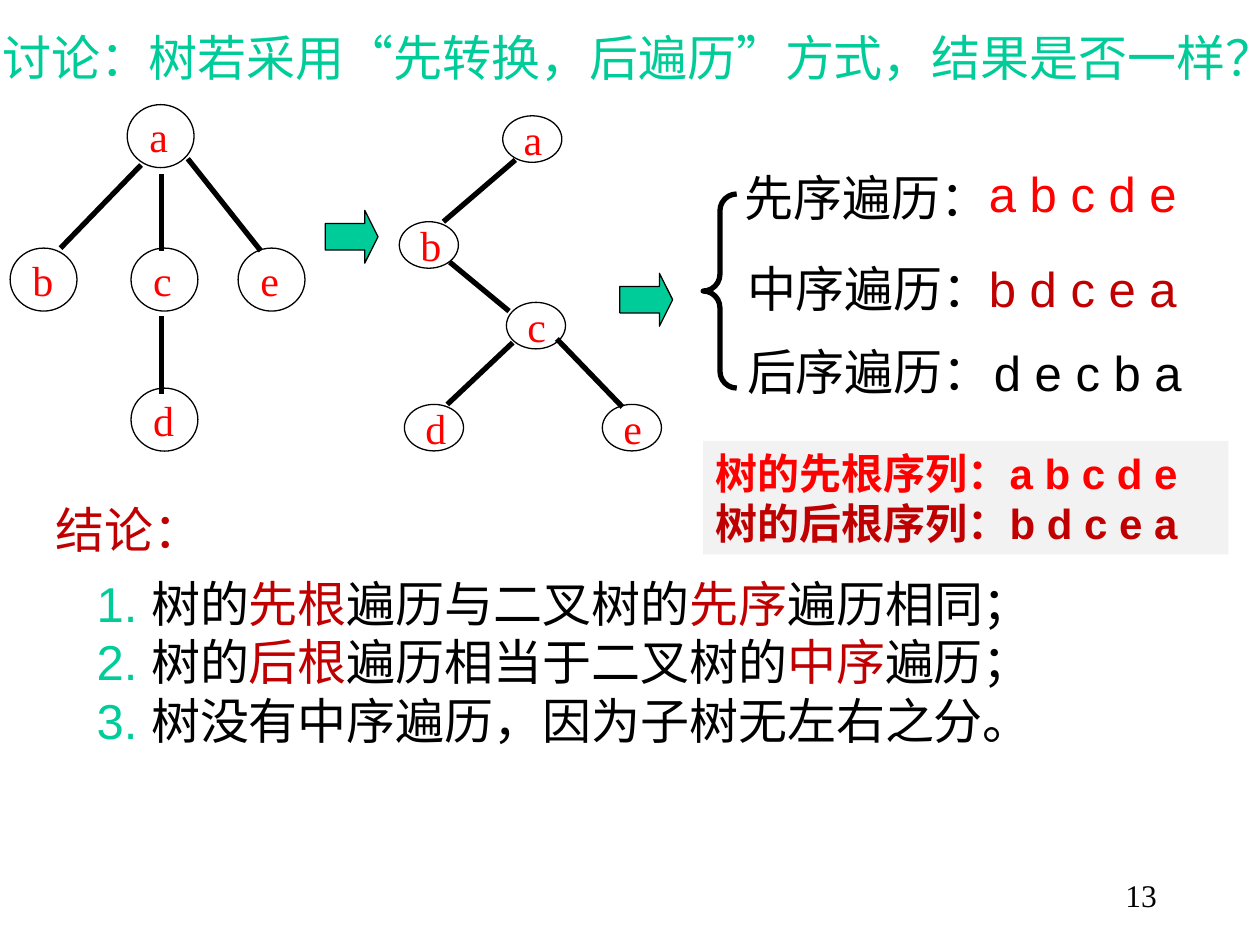
import pptx
import pptx.util
import pptx.dml.color
import pptx.enum.shapes
import pptx.enum.text
import pptx.oxml.ns
from lxml import etree

Pt = pptx.util.Pt
RGBColor = pptx.dml.color.RGBColor
SHAPE = pptx.enum.shapes.MSO_SHAPE
PP_ALIGN = pptx.enum.text.PP_ALIGN
ANCHOR = pptx.enum.text.MSO_ANCHOR
AUTO_SIZE = pptx.enum.text.MSO_AUTO_SIZE

GREEN = RGBColor(0x00, 0xCC, 0x99)
RED = RGBColor(0xFF, 0x00, 0x00)
DARK_RED = RGBColor(0xC0, 0x00, 0x00)
BLACK = RGBColor(0x00, 0x00, 0x00)
GREY = RGBColor(0xF2, 0xF2, 0xF2)
SANS, SERIF = "Arial", "Times New Roman"

# Each run is (text, overrides of the paragraph format).
TITLE = [("讨论：树若采用", {}), ("“", {"font": SERIF}), ("先转换，后遍历", {}),
         ("”", {"font": SERIF}), ("方式，结果是否一样？", {})]
CONCLUSIONS = [
    [("1. ", {"color": GREEN}), ("树的", {}), ("先根", {"color": DARK_RED}),
     ("遍历与二叉树的", {}), ("先序", {"color": DARK_RED}), ("遍历相同；", {})],
    [("2. ", {"color": GREEN}), ("树的", {}), ("后根", {"color": DARK_RED}),
     ("遍历相当于二叉树的", {}), ("中序", {"color": DARK_RED}), ("遍历；", {})],
    [("3. ", {"color": GREEN}), ("树没有中序遍历，因为子树无左右之分。", {})],
]
ROOT_ORDERS = [[("树的先根序列：a b c d e", {})],
               [("树的后根序列：b d c e a", {"color": DARK_RED})]]

# Label, its left and top, then sequence, its left and top, and its colour.
TRAVERSALS = [
    ("先序遍历：", 418.3, 92.2, "a b c d e", 558, 90, RED),
    ("中序遍历：", 419.8, 144, "b d c e a", 558, 144, DARK_RED),
    ("后序遍历：", 419.8, 191.5, "d e c b a", 560.9, 192.2, BLACK),
]
TREES = [
    {"node_size": (38.2, 36),
     "nodes": {"a": (72.7, 59.8), "b": (5.8, 141.8), "c": (74.9, 141.8),
               "d": (74.9, 221.8), "e": (136.1, 141.8)},
     "edges": [(80.6, 94.3, 34.6, 141.8), (92.2, 99.4, 92.2, 143.3),
               (107.3, 90.7, 149, 143.3), (92.2, 180.7, 92.2, 225.4)]},
    {"node_size": (33.8, 26.6),
     "nodes": {"a": (287.3, 66.2), "b": (228.2, 126.7), "c": (289.4, 172.8),
               "d": (231.1, 231.1), "e": (344.2, 231.1)},
     "edges": [(294.5, 91.4, 253.4, 126.7), (257, 149.8, 290.9, 177.8),
               (293, 195.8, 255.6, 231.1), (318.2, 193.7, 355.7, 232.6)]},
]
ARROWS = [(185.8, 120.2), (354.2, 156.2)]

prs = pptx.Presentation()
prs.slide_width, prs.slide_height = Pt(720), Pt(540)
s = prs.slides.add_slide(prs.slide_layouts[6])


def write(sp, paragraphs, size=28, font=SANS, color=BLACK, bold=False,
          align=PP_ALIGN.LEFT, anchor=ANCHOR.TOP, wrap=True, grow=True):
    """Fill a shape with a string or with paragraphs made of runs."""
    if isinstance(paragraphs, str):
        paragraphs = [[(paragraphs, {})]]
    tf = sp.text_frame
    tf.word_wrap = wrap
    tf.auto_size = AUTO_SIZE.SHAPE_TO_FIT_TEXT if grow else AUTO_SIZE.NONE
    tf.vertical_anchor = anchor
    for i, runs in enumerate(paragraphs):
        p = tf.add_paragraph() if i else tf.paragraphs[0]
        p.alignment = align
        for text, changes in runs:
            r = p.add_run()
            r.text = text
            r.font.size = Pt(size)
            r.font.bold = bold
            r.font.name = changes.get("font", font)
            r.font.color.rgb = changes.get("color", color)


def add_text(x, y, w, h, paragraphs, **fmt):
    write(s.shapes.add_textbox(Pt(x), Pt(y), Pt(w), Pt(h)), paragraphs, **fmt)


def add_shape(kind, x, y, w, h, fill=None, line_width=None, adjustments=()):
    sp = s.shapes.add_shape(kind, Pt(x), Pt(y), Pt(w), Pt(h))
    sp.shadow.inherit = False
    for i, value in enumerate(adjustments):
        sp.adjustments[i] = value
    if fill is None:
        sp.fill.background()
    else:
        sp.fill.solid()
        sp.fill.fore_color.rgb = fill
    if line_width is None:
        sp.line.fill.background()
    else:
        sp.line.color.rgb = BLACK
        sp.line.width = Pt(line_width)
    return sp


def add_edge(*ends):
    line = s.shapes.add_connector(pptx.enum.shapes.MSO_CONNECTOR.STRAIGHT,
                                  *(Pt(v) for v in ends))
    line.line.color.rgb = BLACK
    line.line.width = Pt(3)
    etree.SubElement(line._element.spPr, pptx.oxml.ns.qn("a:effectLst"))


add_text(-5.8, 12.2, 720, 41, [TITLE], color=GREEN)

for tree in TREES:
    for label, corner in tree["nodes"].items():
        node = add_shape(SHAPE.OVAL, *corner, *tree["node_size"], line_width=0.75)
        write(node, label, size=24, font=SERIF, color=RED,
              anchor=ANCHOR.MIDDLE, wrap=False, grow=False)
    for edge in tree["edges"]:
        add_edge(*edge)

for x, y in ARROWS:
    add_shape(SHAPE.RIGHT_ARROW, x, y, 30.2, 30.2, fill=GREEN, line_width=0.75,
              adjustments=(0.5, 0.25))

add_shape(SHAPE.LEFT_BRACE, 401.8, 110.9, 19.2, 110.9, line_width=3,
          adjustments=(0.5, 0.5))
for label, x, y, sequence, seq_x, seq_y, color in TRAVERSALS:
    add_text(x, y, 154, 41, label, wrap=False)
    add_text(seq_x, seq_y, 135, 41, sequence, color=color)

panel = add_shape(SHAPE.RECTANGLE, 401.8, 252, 300.2, 64.8, fill=GREY)
write(panel, ROOT_ORDERS, size=24, color=RED, bold=True)

add_text(24.5, 282.2, 98, 41, "结论：", color=DARK_RED, wrap=False)
add_text(48.2, 324, 612, 108, CONCLUSIONS)
add_text(518.4, 496.8, 149.8, 36, "13", size=18, font=SERIF,
         align=PP_ALIGN.RIGHT, grow=False)

prs.save("out.pptx")
